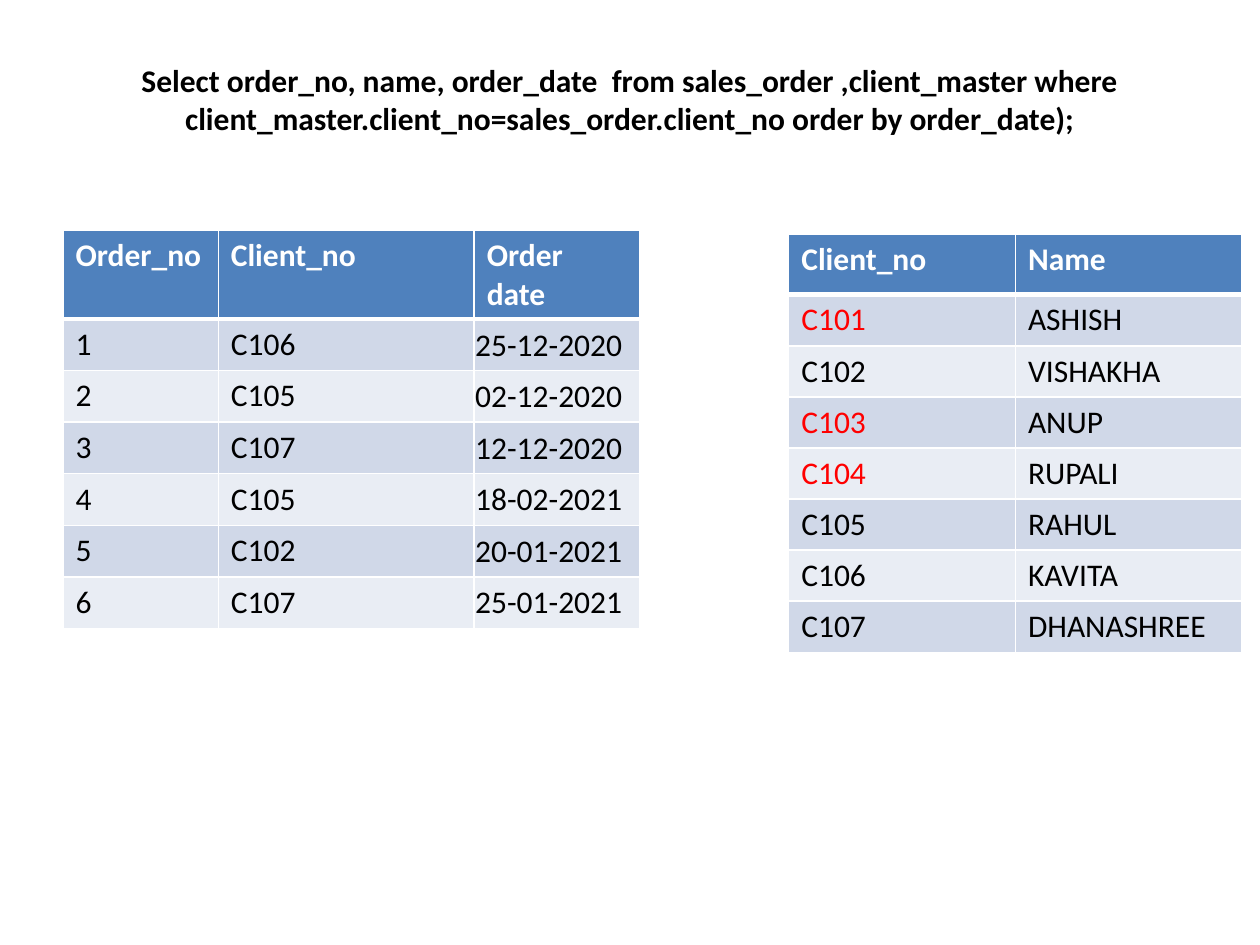
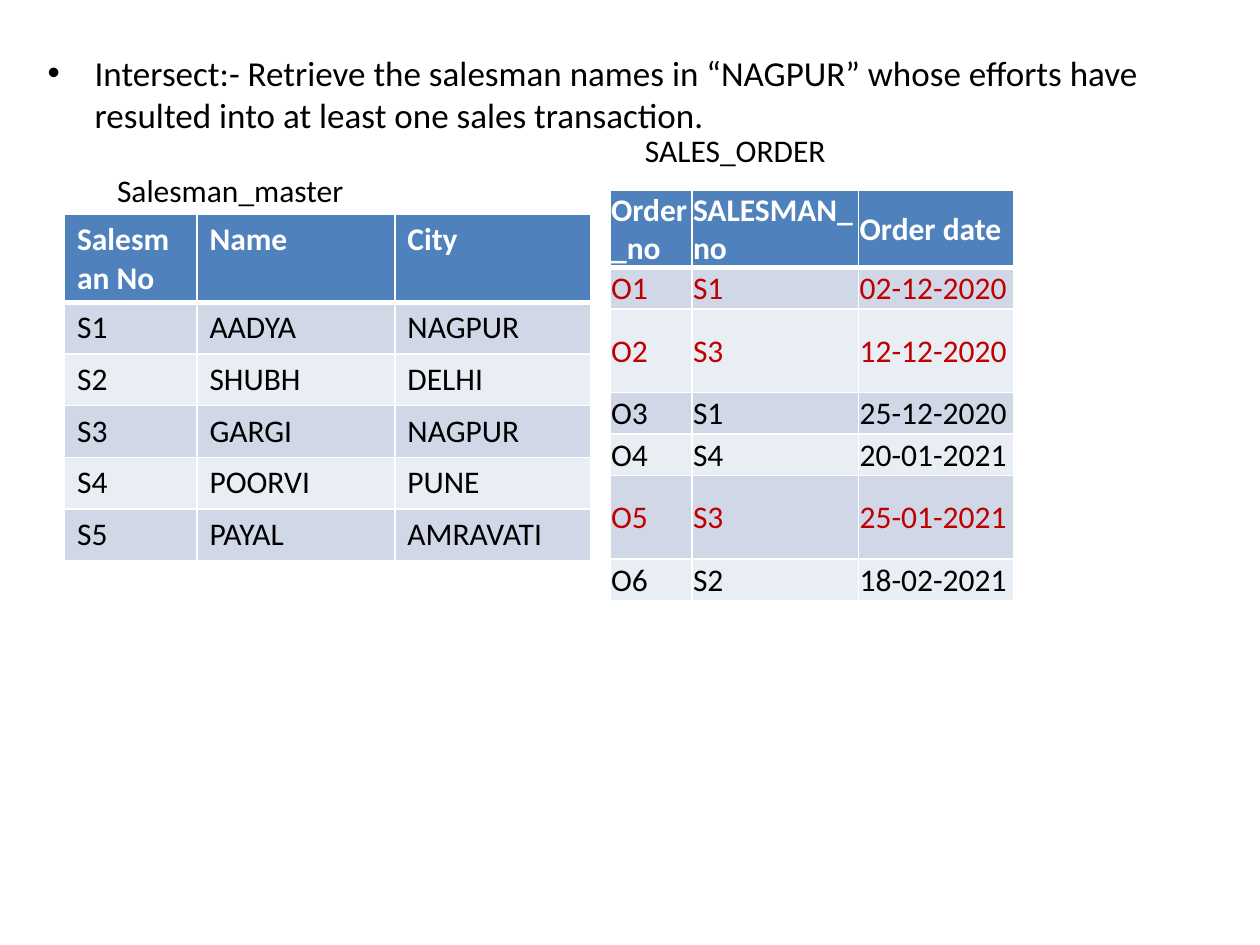
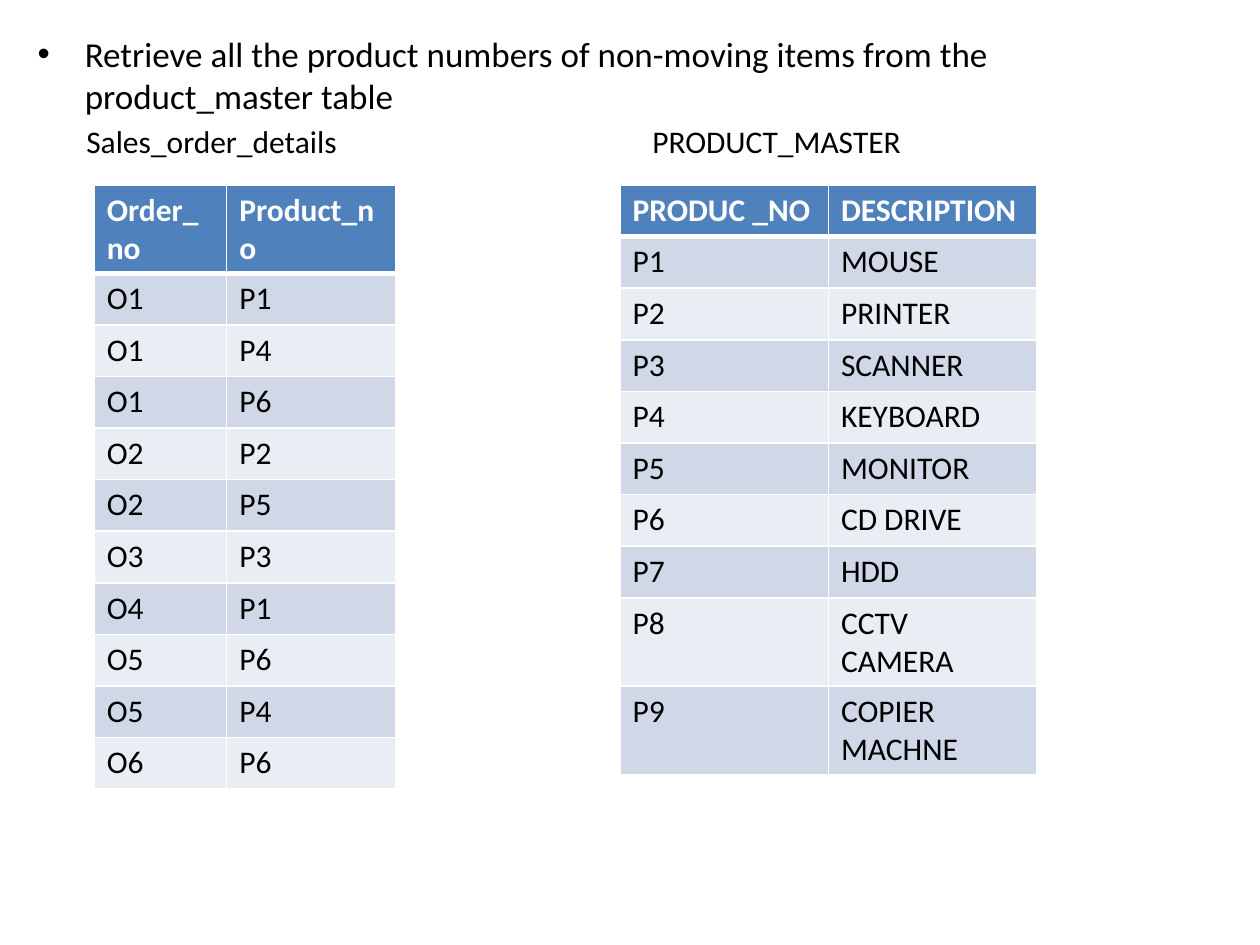
from lxml import etree
from pptx import Presentation
from pptx.dml.color import RGBColor
from pptx.enum import text
from pptx.oxml import ns
from pptx.util import Cm, Pt

BLACK = RGBColor(0x00, 0x00, 0x00)
WHITE = RGBColor(0xFF, 0xFF, 0xFF)
HEADER_BLUE = RGBColor(0x4F, 0x81, 0xBD)
BANDS = (RGBColor(0xE9, 0xED, 0xF4), RGBColor(0xD0, 0xD8, 0xE8))
RED = RGBColor(0xFF, 0x00, 0x00)
DARK_RED = RGBColor(0xC0, 0x00, 0x00)
FONT = "Calibri"
ROW = 1.04
SHORT_ROW, HIGH_ROW = 0.84, 1.68
LABEL_HEIGHT = 1.02
BODY_SIZE = (22.86, 12.57)
TIGHT_MARGINS = {"margin_left": Cm(0.02), "margin_top": Cm(0.02),
                 "margin_right": Cm(0.02), "margin_bottom": 0}


def write(frame, words, size=18, color=BLACK, bold=False):
    """Write one paragraph in the deck font and return it."""
    paragraph = frame.paragraphs[0]
    run = paragraph.add_run()
    run.text = words
    values = {"name": FONT, "size": Pt(size), "bold": bold}
    for name, value in values.items():
        setattr(run.font, name, value)
    run.font.color.rgb = color
    return paragraph


def add_text(slide, box, words, **style):
    """Add a wrapping text box and return its frame and paragraph."""
    frame = slide.shapes.add_textbox(*map(Cm, box)).text_frame
    frame.word_wrap = True
    return frame, write(frame, words, **style)


def add_title(slide, box, words):
    """Add a bold centred title sitting above the middle of its box."""
    frame, paragraph = add_text(slide, box, words, bold=True)
    frame.vertical_anchor = text.MSO_ANCHOR.MIDDLE
    frame.margin_bottom = Cm(0.84)
    paragraph.alignment = text.PP_ALIGN.CENTER


def add_bullet(slide, left, top, words):
    """Add a bulleted statement with a hanging indent."""
    frame, paragraph = add_text(slide, (left, top, *BODY_SIZE), words, size=20)
    properties = paragraph._p.get_or_add_pPr()
    properties.set("marL", str(Cm(0.95)))
    properties.set("indent", str(-Cm(0.95)))
    font = etree.SubElement(properties, ns.qn("a:buFont"))
    font.set("typeface", "Arial")
    etree.SubElement(properties, ns.qn("a:buChar")).set("char", "•")


def set_borders(cell, row):
    """Draw white cell borders, with a thick rule under the header."""
    widths = {"lnL": 1, "lnR": 1, "lnT": 3 if row == 1 else 1, "lnB": 3 if row == 0 else 1}
    properties = cell._tc.get_or_add_tcPr()
    for tag, width in widths.items():
        line = etree.SubElement(properties, ns.qn("a:" + tag))
        line.set("w", str(Pt(width)))
        fill = etree.SubElement(line, ns.qn("a:solidFill"))
        etree.SubElement(fill, ns.qn("a:srgbClr")).set("val", str(WHITE))


def add_table(slide, left, top, widths, heights, rows, tight=(), marked=(), mark=RED):
    """Add a banded table; tight names columns, marked names coloured cells."""
    box = (left, top, sum(widths), sum(heights))
    table = slide.shapes.add_table(len(rows), len(widths), *map(Cm, box)).table
    for column, width in zip(table.columns, widths):
        column.width = Cm(width)
    for row, (values, height) in enumerate(zip(rows, heights)):
        table.rows[row].height = Cm(height)
        for column, value in enumerate(values):
            cell = table.cell(row, column)
            header = row == 0
            color = WHITE if header else mark if (row, column) in marked else BLACK
            write(cell.text_frame, value, color=color, bold=header)
            set_borders(cell, row)
            cell.fill.solid()
            cell.fill.fore_color.rgb = HEADER_BLUE if header else BANDS[row % 2]
            if (row, column) in tight:
                cell.vertical_anchor = text.MSO_ANCHOR.MIDDLE
                for name, margin in TIGHT_MARGINS.items():
                    setattr(cell, name, margin)


def cells(rows, columns):
    """Return the set of every row and column pair."""
    return {(row, column) for row in rows for column in columns}


def build_join(slide):
    """Build the slide that joins orders with clients."""
    add_title(slide, (1.27, 0.76, 22.86, 3.18),
              "Select order_no, name, order_date  from sales_order ,client_master where "
              "client_master.client_no=sales_order.client_no order by order_date);")
    orders = [("Order_no", "Client_no", "Order date"),
              ("1", "C106", "25-12-2020"), ("2", "C105", "02-12-2020"),
              ("3", "C107", "12-12-2020"), ("4", "C105", "18-02-2021"),
              ("5", "C102", "20-01-2021"), ("6", "C107", "25-01-2021")]
    add_table(slide, 1.27, 4.65, (3.13, 5.16, 3.34), [1.63] + [ROW] * 6, orders,
              tight=cells(range(1, 7), [2]))
    names = ("ASHISH", "VISHAKHA", "ANUP", "RUPALI", "RAHUL", "KAVITA", "DHANASHREE")
    clients = [("Client_no", "Name")]
    clients += [(f"C{number}", name) for number, name in enumerate(names, 101)]
    add_table(slide, 15.9, 4.72, (4.57, 4.57), [1.22] + [1.03] * 7, clients,
              marked=cells((1, 3, 4), [0]))


def build_intersect(slide):
    """Build the slide that intersects salesmen with orders."""
    add_bullet(slide, 0.71, 0.91,
               "Intersect:- Retrieve the salesman names in “NAGPUR” whose efforts have "
               "resulted into at least one sales transaction.")
    salesmen = [("Salesman No", "Name", "City"),
                ("S1", "AADYA", "NAGPUR"), ("S2", "SHUBH", "DELHI"),
                ("S3", "GARGI", "NAGPUR"), ("S4", "POORVI", "PUNE"),
                ("S5", "PAYAL", "AMRAVATI")]
    add_table(slide, 1.3, 4.32, (2.67, 3.99, 3.94), [1.73] + [ROW] * 5, salesmen)
    add_text(slide, (2.11, 3.33, 6.81, LABEL_HEIGHT), "Salesman_master")
    orders = [("Order_no", "SALESMAN_no", "Order date"),
              ("O1", "S1", "02-12-2020"), ("O2", "S3", "12-12-2020"),
              ("O3", "S1", "25-12-2020"), ("O4", "S4", "20-01-2021"),
              ("O5", "S3", "25-01-2021"), ("O6", "S2", "18-02-2021")]
    heights = [1.55] + [HIGH_ROW if row in (2, 5) else SHORT_ROW for row in range(1, 7)]
    add_table(slide, 12.3, 3.84, (1.65, 3.36, 3.13), heights, orders,
              tight=cells(range(7), range(3)),
              marked=cells((1, 2, 5), range(3)), mark=DARK_RED)
    add_text(slide, (12.75, 2.51, 5.59, LABEL_HEIGHT), "SALES_ORDER")


def build_non_moving(slide):
    """Build the slide that finds products without orders."""
    add_bullet(slide, 0.51, 0.53,
               "Retrieve all the product numbers of non-moving items from the "
               "product_master table")
    add_text(slide, (1.49, 2.34, 5.62, LABEL_HEIGHT), "Sales_order_details")
    details = [("Order_no", "Product_no"),
               ("O1", "P1"), ("O1", "P4"), ("O1", "P6"), ("O2", "P2"), ("O2", "P5"),
               ("O3", "P3"), ("O4", "P1"), ("O5", "P6"), ("O5", "P4"), ("O6", "P6")]
    add_table(slide, 1.9, 3.73, (2.67, 3.4), [1.73] + [ROW] * 10, details)
    items = ("MOUSE", "PRINTER", "SCANNER", "KEYBOARD", "MONITOR", "CD DRIVE", "HDD",
             "CCTV CAMERA", "COPIER MACHNE")
    products = [("PRODUC _NO", "DESCRIPTION")]
    products += [(f"P{number}", item) for number, item in enumerate(items, 1)]
    add_table(slide, 12.5, 3.73, (4.2, 4.2), [ROW] * 8 + [1.73] * 2, products)
    add_text(slide, (12.9, 2.34, 10.01, LABEL_HEIGHT), "PRODUCT_MASTER")


def main():
    """Build and save the deck."""
    presentation = Presentation()
    presentation.slide_width, presentation.slide_height = Cm(25.4), Cm(19.05)
    for build in (build_join, build_intersect, build_non_moving):
        build(presentation.slides.add_slide(presentation.slide_layouts[6]))
    presentation.save("out.pptx")


main()
